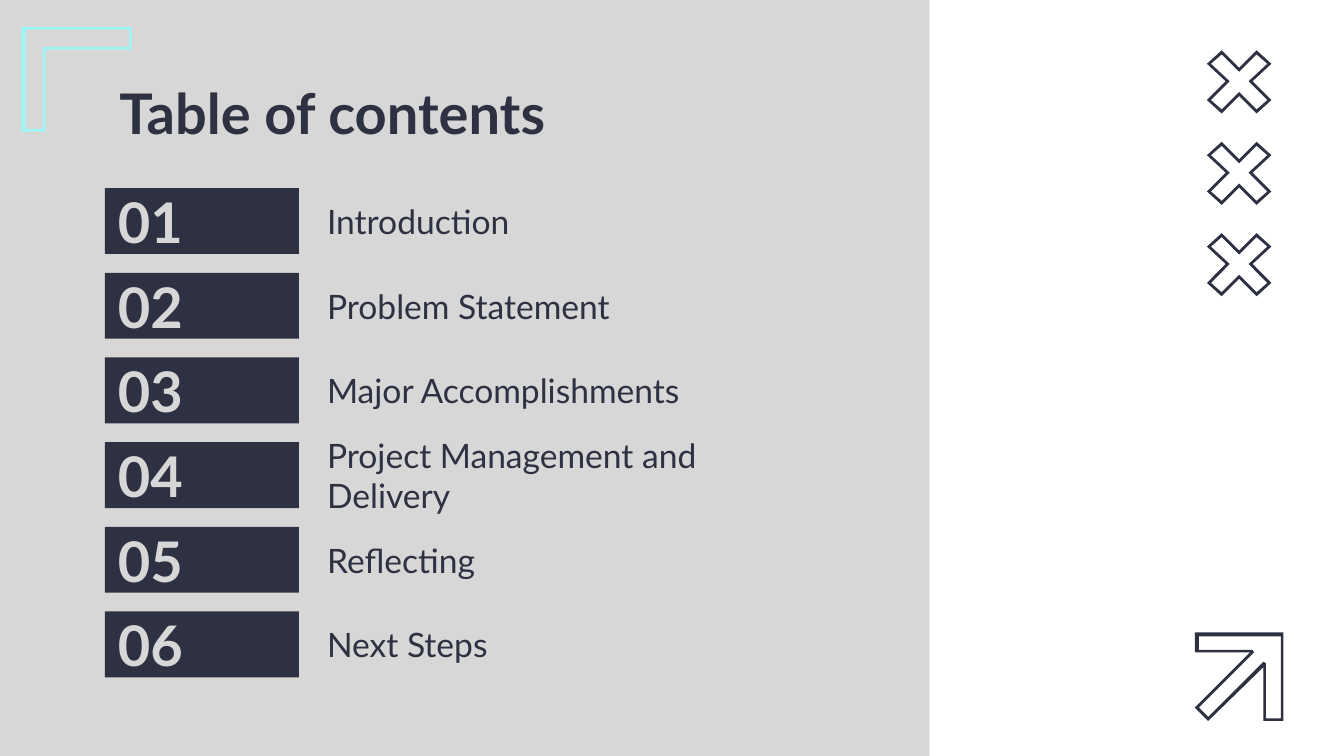
from collections import namedtuple

from pptx import Presentation
from pptx.dml.color import RGBColor
from pptx.enum.shapes import MSO_SHAPE
from pptx.enum.text import MSO_ANCHOR, PP_ALIGN
from pptx.util import Pt

PX = 4572  # EMU per px, 200 px to the inch
ICON_UNIT = 2 * PX  # the outlines are plotted on a grid of 2 px
NAVY = RGBColor(0x2D, 0x31, 0x42)
GRAY = RGBColor(0xD7, 0xD7, 0xD7)
CYAN = RGBColor(0x9D, 0xF6, 0xF6)
WHITE = RGBColor(0xFF, 0xFF, 0xFF)
FONT = "Lato"

Box = namedtuple("Box", "left top width height")

TOPICS = [
    "Introduction",
    "Problem Statement",
    "Major Accomplishments",
    "Project Management and Delivery",
    "Reflecting",
    "Next Steps",
]

# Each outline is an outer and an inner contour, relative to its corner
BRACKET = [
    [(82, 0), (0, 0), (0, 78), (18, 78), (18, 17), (82, 17)],
    [(80, 15), (16, 15), (16, 76), (3, 76), (3, 2), (80, 2)],
]
CROSS = [
    [(11, 0), (0, 10), (14, 23), (0, 37), (11, 47), (24, 34),
     (37, 47), (48, 37), (34, 23), (48, 10), (37, 0), (24, 13)],
    [(37, 3), (45, 10), (31, 23), (45, 37), (37, 44), (24, 31),
     (11, 44), (3, 37), (17, 23), (3, 10), (11, 3), (24, 16)],
]
ARROW = [
    [(0, 0), (0, 15), (41, 15), (0, 56), (10, 66),
     (51, 26), (51, 66), (66, 66), (66, 0)],
    [(64, 3), (64, 64), (53, 64), (53, 23), (51, 22), (10, 63),
     (3, 56), (44, 15), (43, 13), (3, 13), (3, 3)],
]


def emu(box):
    return [length * PX for length in box]


def fill_plain(shape, color):
    shape.shadow.inherit = False
    shape.fill.solid()
    shape.fill.fore_color.rgb = color
    shape.line.fill.background()


def add_outline(page, left, top, contours, color):
    builder = page.shapes.build_freeform(*contours[0][0], scale=ICON_UNIT)
    for index, contour in enumerate(contours):
        if index:
            builder.move_to(*contour[0])
        builder.add_line_segments(contour[1:], close=True)
    fill_plain(builder.convert_to_shape(left * PX, top * PX), color)


def add_rectangle(page, box, color):
    shape = page.shapes.add_shape(MSO_SHAPE.RECTANGLE, *emu(box))
    fill_plain(shape, color)
    return shape


def write_text(shape, text, size, color, bold=False, anchor=MSO_ANCHOR.MIDDLE):
    frame = shape.text_frame
    frame.word_wrap = True
    frame.vertical_anchor = anchor
    frame.margin_left = frame.margin_right = 20 * PX
    frame.margin_top = frame.margin_bottom = 20 * PX
    para = frame.paragraphs[0]
    para.text = text
    para.alignment = PP_ALIGN.LEFT
    para.font.name = FONT
    para.font.size = Pt(size)
    para.font.bold = bold
    para.font.color.rgb = color


def add_side_panel(page, box):
    add_rectangle(page, box, WHITE)
    # Column of crosses, drawn as one shape
    pitch = 68
    crosses = [[(x, y + row * pitch) for x, y in contour]
               for row in range(3) for contour in CROSS]
    add_outline(page, box.left + 413, box.top + 75, crosses, NAVY)
    # Arrow in the lower corner
    add_outline(page, box.left + 395, box.top + 941, ARROW, NAVY)


def add_title(page, box):
    title = page.shapes.add_textbox(*emu(box))
    write_text(title, "Table of contents", 30, NAVY, True, MSO_ANCHOR.TOP)


def add_contents(page, box):
    row_height, pitch, number_width, topic_left = 98, 126, 289, 311
    for row, topic in enumerate(TOPICS):
        top = box.top + row * pitch
        number = add_rectangle(
            page, Box(box.left, top, number_width, row_height), NAVY)
        write_text(number, f"{row + 1:02d}", 30, GRAY, True)
        label = page.shapes.add_textbox(*emu(Box(
            box.left + topic_left, top, box.width - topic_left, row_height)))
        write_text(label, topic, 18, NAVY)


def main():
    deck = Presentation()
    deck.slide_width, deck.slide_height = 2000 * PX, 1125 * PX
    page = deck.slides.add_slide(deck.slide_layouts[6])
    page.background.fill.solid()
    page.background.fill.fore_color.rgb = GRAY

    add_outline(page, 32, 40, BRACKET, CYAN)
    add_side_panel(page, Box(1383, 0, 617, 1125))
    add_title(page, Box(158, 97, 1226, 126))
    add_contents(page, Box(156, 280, 1075, 728))
    deck.save("out.pptx")


if __name__ == "__main__":
    main()
